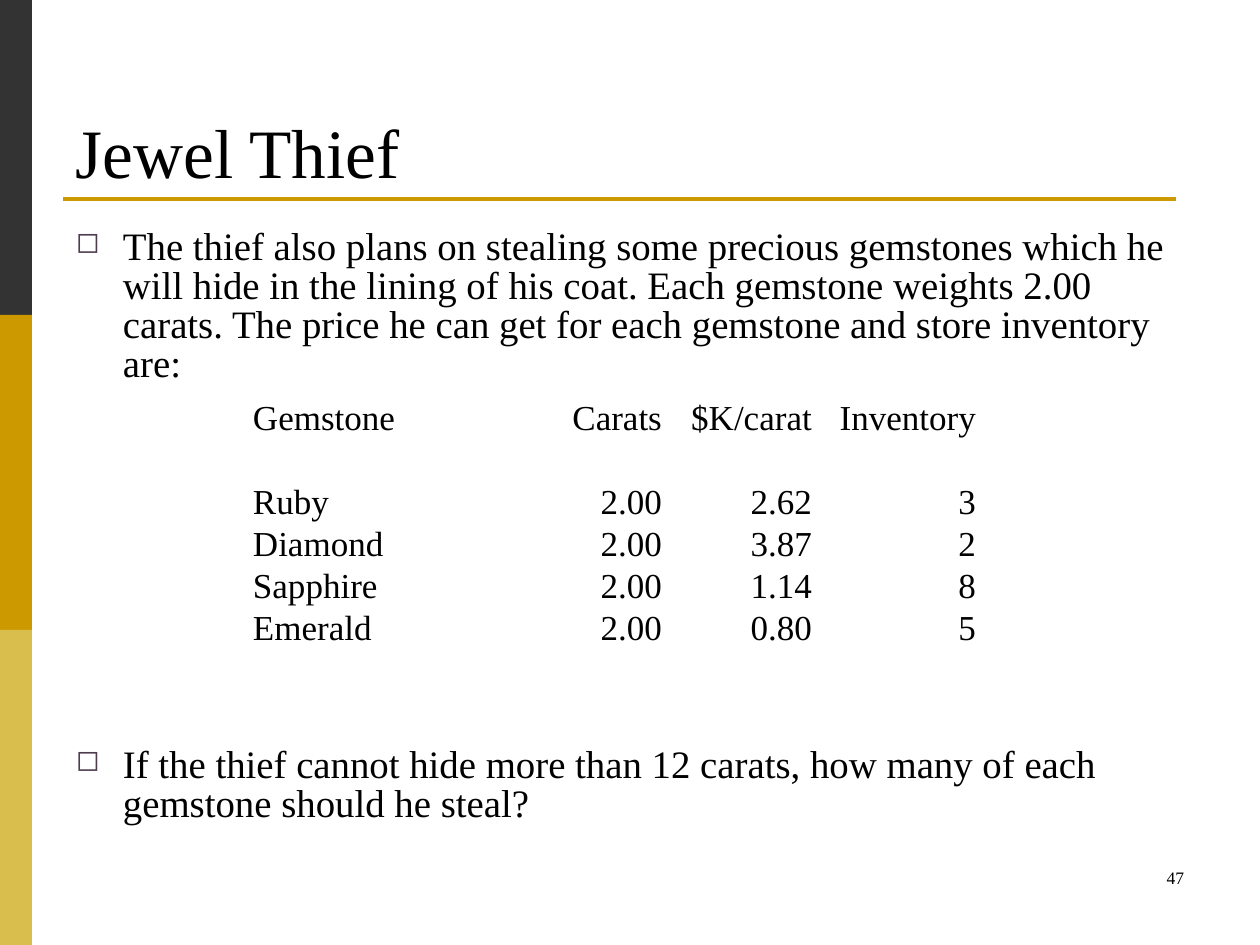
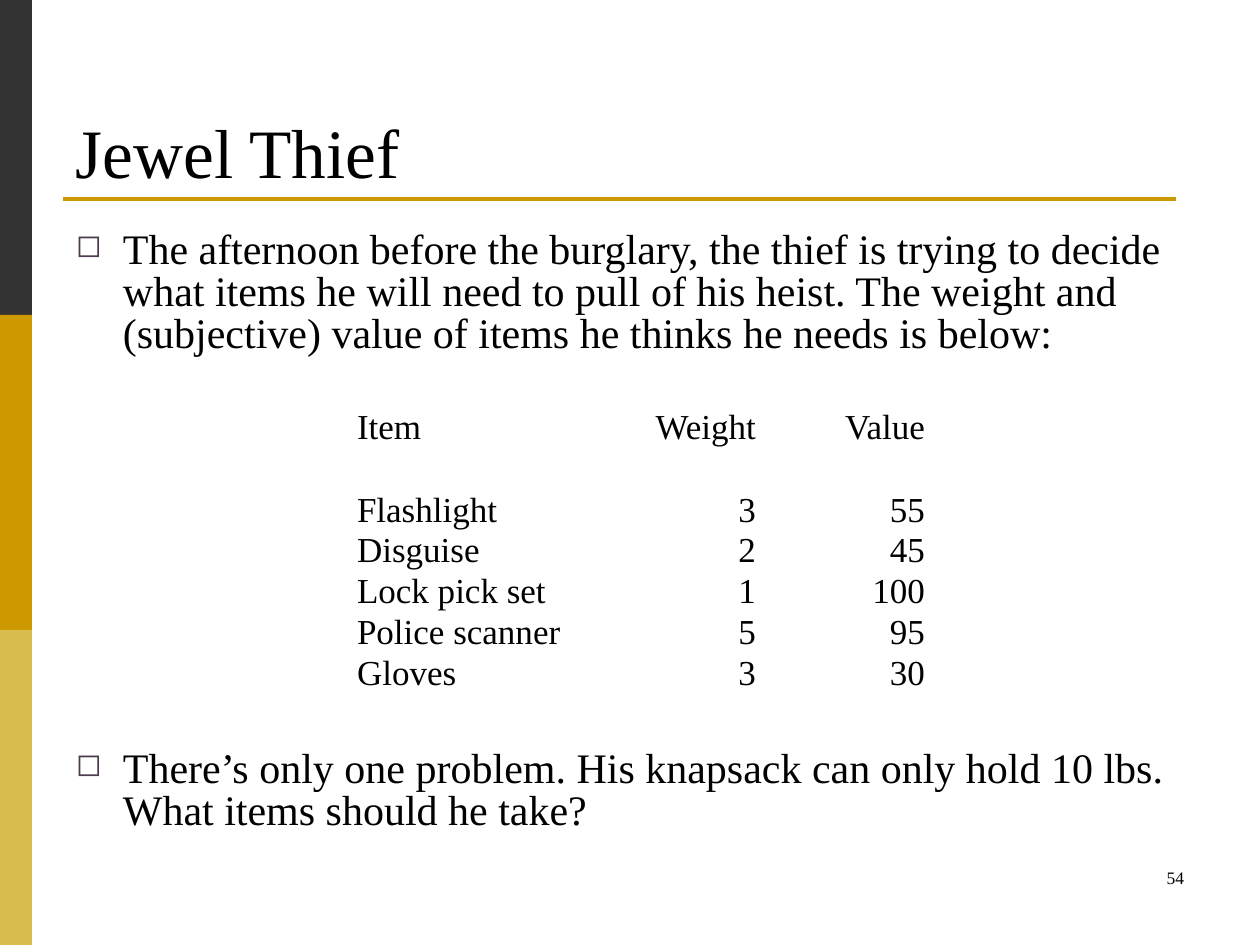
"""Build the two Jewel Thief knapsack slides."""
from lxml import etree
from pptx import Presentation
from pptx.dml.color import RGBColor
from pptx.enum.shapes import MSO_CONNECTOR, MSO_SHAPE
from pptx.enum.text import MSO_ANCHOR, PP_ALIGN
from pptx.oxml.ns import qn
from pptx.util import Pt

EMU_PER_PX = 914400 / 126
FONT = "Times New Roman"
COLORS = {
    "text": "000000",
    "bullet": "4D3C4E",
    "charcoal": "333333",
    "gold": "CC9900",
    "sand": "D9BE4D",
}
LEFT, RIGHT = PP_ALIGN.LEFT, PP_ALIGN.RIGHT
TOP, BOTTOM = MSO_ANCHOR.TOP, MSO_ANCHOR.BOTTOM
RECTANGLE, STRAIGHT = MSO_SHAPE.RECTANGLE, MSO_CONNECTOR.STRAIGHT
BAND_WIDTH, BAND_HEIGHT = 32, 315
BULLET_INDENT = 47
TABLE_FONT_SIZE = 20

SLIDES = [
    {
        "number": "47",
        "size": 22.2,
        "spacing": 0.84,
        "bullets": [
            (229, "The thief also plans on stealing some precious gemstones which he will hide in "
                  "the lining of his coat. Each gemstone weights 2.00 carats. The price he can get "
                  "for each gemstone and store inventory are:"),
            (747, "If the thief cannot hide more than 12 carats, how many of each gemstone "
                  "should he steal?"),
        ],
        "table_at": (252, 399),
        "columns": [261, 150, 150, 164],
        "row_height": 40,
        "row_spacing": 1.0,
        "rows": [
            ("Gemstone", "Carats", "$K/carat", "Inventory"),
            ("", "", "", ""),
            ("Ruby", "2.00", "2.62", "3"),
            ("Diamond", "2.00", "3.87", "2"),
            ("Sapphire", "2.00", "1.14", "8"),
            ("Emerald", "2.00", "0.80", "5"),
        ],
    },
    {
        "number": "54",
        "size": 24,
        "spacing": 0.83,
        "bullets": [
            (231, "The afternoon before the burglary, the thief is trying to decide what items he "
                  "will need to pull of his heist. The weight and (subjective) value of items he "
                  "thinks he needs is below:"),
            (750, "There’s only one problem. His knapsack can only hold 10 lbs. What items "
                  "should he take?"),
        ],
        "table_at": (356, 409),
        "columns": [232, 169, 169],
        "row_height": 39,
        "row_spacing": 0.97,
        "rows": [
            ("Item", "Weight", "Value"),
            ("", "", ""),
            ("Flashlight", "3", "55"),
            ("Disguise", "2", "45"),
            ("Lock pick set", "1", "100"),
            ("Police scanner", "5", "95"),
            ("Gloves", "3", "30"),
        ],
    },
]


def px(length):
    """Turn px into EMU."""
    return round(length * EMU_PER_PX)


def write_text(holder, text, size, align=LEFT, spacing=1.0, side_margin=13, anchor=TOP,
               bullet=False):
    """Write one formatted paragraph into a text frame or a table cell."""
    holder.margin_left = holder.margin_right = px(side_margin)
    holder.margin_top = holder.margin_bottom = 0
    holder.vertical_anchor = anchor
    holder.word_wrap = True
    paragraph = getattr(holder, "text_frame", holder).paragraphs[0]
    paragraph.alignment = align
    paragraph.line_spacing = spacing
    if bullet:
        properties = paragraph._p.get_or_add_pPr()
        properties.set("marL", str(px(BULLET_INDENT)))
        properties.set("indent", str(-px(BULLET_INDENT)))
        color = etree.SubElement(properties, qn("a:buClr"))
        etree.SubElement(color, qn("a:srgbClr"), val=COLORS["bullet"])
        etree.SubElement(properties, qn("a:buSzPct"), val="75000")
        etree.SubElement(properties, qn("a:buChar"), char="◻")
    if text:
        run = paragraph.add_run()
        run.text = text
        run.font.name = FONT
        run.font.size = Pt(size)
        run.font.color.rgb = RGBColor.from_string(COLORS["text"])
    else:
        ending = etree.SubElement(paragraph._p, qn("a:endParaRPr"), sz=str(size * 100))
        etree.SubElement(ending, qn("a:latin"), typeface=FONT)


presentation = Presentation()
presentation.slide_width, presentation.slide_height = px(1260), px(945)
blank_layout = presentation.slide_layouts[6]

for content in SLIDES:
    slide = presentation.slides.add_slide(blank_layout)
    shapes = slide.shapes

    for index, name in enumerate(("charcoal", "gold", "sand")):
        band = shapes.add_shape(RECTANGLE, 0, px(index * BAND_HEIGHT),
                                px(BAND_WIDTH), px(BAND_HEIGHT))
        band.shadow.inherit = False
        band.fill.solid()
        band.fill.fore_color.rgb = RGBColor.from_string(COLORS[name])
        band.line.fill.background()

    title_rule = shapes.add_connector(STRAIGHT, px(63), px(199), px(1176), px(199))
    title_rule.line.color.rgb = RGBColor.from_string(COLORS["gold"])
    title_rule.line.width = Pt(2)
    etree.SubElement(title_rule._element.spPr, qn("a:effectLst"))

    title = shapes.add_textbox(px(63), px(112), px(1134), px(80))
    write_text(title.text_frame, "Jewel Thief", size=39.6, anchor=BOTTOM)

    number = shapes.add_textbox(px(903), px(867), px(294), px(57))
    write_text(number.text_frame, content["number"], size=10, align=RIGHT)

    for top, text in content["bullets"]:
        body = shapes.add_textbox(px(63), px(top), px(1134), px(110))
        write_text(body.text_frame, text, size=content["size"],
                   spacing=content["spacing"], bullet=True)

    rows, columns = content["rows"], content["columns"]
    left, top = content["table_at"]
    table = shapes.add_table(len(rows), len(columns), px(left), px(top), px(sum(columns)),
                             px(len(rows) * content["row_height"])).table
    table.first_row = table.horz_banding = False
    for column, width in zip(table.columns, columns):
        column.width = px(width)
    for row, values in zip(table.rows, rows):
        row.height = px(content["row_height"])
        for index, (cell, value) in enumerate(zip(row.cells, values)):
            cell.fill.background()
            write_text(cell, value, size=TABLE_FONT_SIZE, align=RIGHT if index else LEFT,
                       spacing=content["row_spacing"], side_margin=1)

presentation.save("out.pptx")
